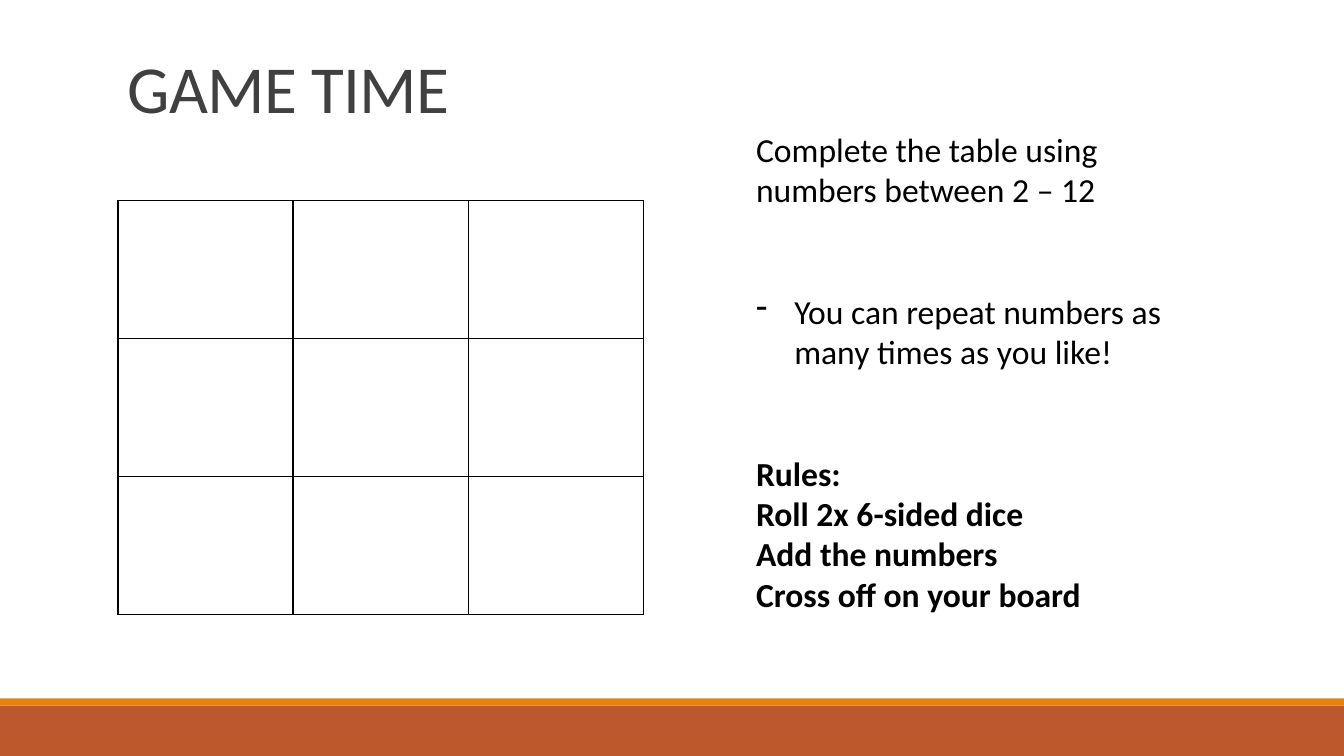
"""Build the game time slide: a blank number board beside its rules."""
import pptx
import pptx.dml.color
import pptx.enum.shapes
import pptx.enum.text
import pptx.oxml
import pptx.oxml.ns
import pptx.util

RGB = pptx.dml.color.RGBColor
BLACK = RGB(0, 0, 0)
WHITE = RGB(255, 255, 255)
GRAY = RGB(0x40, 0x40, 0x40)
RUST = RGB(0xBD, 0x58, 0x2C)
AMBER = RGB(0xE4, 0x83, 0x12)
FONT = "Calibri"
WIDE, HIGH = 13.33, 7.5
GAP = 58
SIDES = ("lnL", "lnR", "lnT", "lnB")


def inches(*sizes):
    return [pptx.util.Inches(size) for size in sizes]


def write(para, text, size=24, color=BLACK, bold=False, before=0, line=None,
          track=0, mark=None):
    if mark:
        props = para._p.get_or_add_pPr()
        props.set("marL", str(pptx.util.Inches(0.38)))
        props.set("indent", str(-pptx.util.Inches(0.38)))
        bullet = pptx.oxml.ns.qn("a:buChar")
        props.append(props.makeelement(bullet, {"char": mark}))
    if before:
        para.space_before = pptx.util.Pt(before)
    if line:
        para.line_spacing = line
    run = para.add_run()
    run.text = text
    font = run.font
    font.name, font.size, font.bold = FONT, pptx.util.Pt(size), bold
    font.color.rgb = color
    if track:
        run._r.get_or_add_rPr().set("spc", str(track))


def place(slide, box, lines):
    frame = slide.shapes.add_textbox(*inches(*box)).text_frame
    frame.word_wrap = True
    frame.vertical_anchor = pptx.enum.text.MSO_ANCHOR.TOP
    for index, (text, style) in enumerate(lines):
        para = frame.add_paragraph() if index else frame.paragraphs[0]
        write(para, text, **style)


def band(slide, box, color):
    kind = pptx.enum.shapes.MSO_SHAPE.RECTANGLE
    shape = slide.shapes.add_shape(kind, *inches(*box))
    shape.shadow.inherit = False
    shape.fill.solid()
    shape.fill.fore_color.rgb = color
    shape.line.fill.background()


def footer(slide, box):
    left, top, width, height = box
    trim = 0.07
    band(slide, (left, top + trim, width, height - trim), RUST)
    band(slide, (left, top, width, trim), AMBER)


def border(cell):
    props = cell._tc.get_or_add_tcPr()
    for side in SIDES:
        props.append(pptx.oxml.parse_xml(
            f'<a:{side} {pptx.oxml.ns.nsdecls("a")} w="12700">'
            f'<a:solidFill><a:srgbClr val="{BLACK}"/></a:solidFill></a:{side}>'))


def board(slide, box, count=3):
    table = slide.shapes.add_table(count, count, *inches(*box)).table
    table.first_row = table.horz_banding = False
    for cell in table.iter_cells():
        border(cell)
        cell.fill.solid()
        cell.fill.fore_color.rgb = WHITE


def title(slide, box):
    style = dict(size=48, color=GRAY, line=0.85, track=-50)
    place(slide, box, [("GAME TIME", style)])


def rules(slide, box):
    strong = dict(bold=True)
    place(slide, box, [
        ("Complete the table using numbers between 2 – 12", {}),
        ("You can repeat numbers as many times as you like!",
         dict(before=GAP, mark="-")),
        ("Rules:", dict(bold=True, before=GAP)),
        ("Roll 2x 6-sided dice", strong),
        ("Add the numbers", strong),
        ("Cross off on your board", strong),
    ])


def main():
    deck = pptx.Presentation()
    deck.slide_width, deck.slide_height = inches(WIDE, HIGH)
    slide = deck.slides.add_slide(deck.slide_layouts[6])
    left = 1.17
    footer(slide, (0, 6.93, WIDE, HIGH - 6.93))
    title(slide, (left, 0.53, 11, 1.76))
    board(slide, (left, 1.99, 5.21, 4.11))
    rules(slide, (7.4, 1.23, 4.61, 4.95))
    deck.save("out.pptx")


if __name__ == "__main__":
    main()
